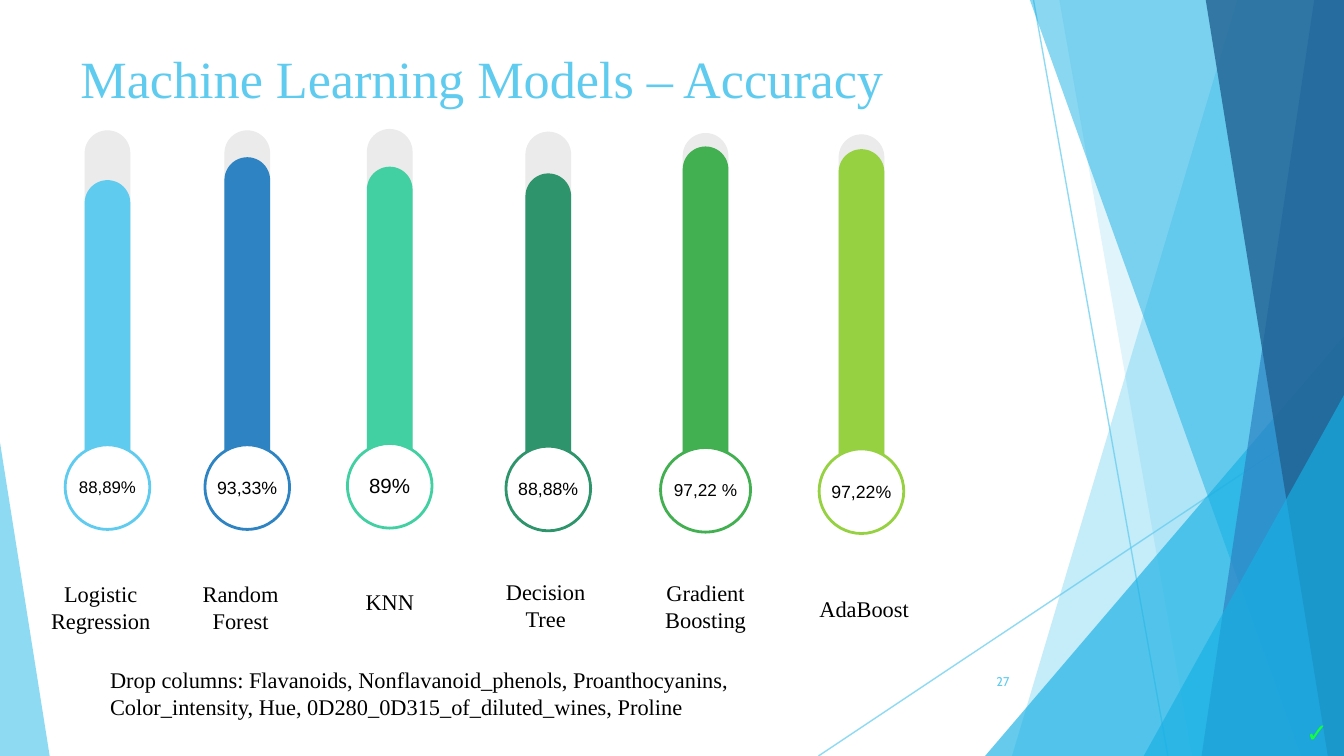
from pptx import Presentation
from pptx.dml.color import RGBColor
from pptx.enum import shapes as sh, text as tx
from pptx.oxml.ns import qn
from pptx.util import Inches, Pt
from lxml import etree

THEME = dict(
    sky="5FCBEF", cyan="17B0E4", blue="2E83C3", navy="226292", track="EBEBEB",
    white="FFFFFF", ink="000000", tick="13FF3A",
    serif="Times New Roman", sans="Arial", small="Cabin",
    title=28, body=12, mark=14, page=6.8,
)

WIDE = 10
HIGH = WIDE * 9 / 16

TITLE = "Machine Learning Models – Accuracy"
NOTE = ("Drop columns: Flavanoids, Nonflavanoid_phenols, Proanthocyanins, "
        "Color_intensity, Hue, 0D280_0D315_of_diluted_wines, Proline")

MODELS = [
    dict(name="Logistic Regression", score="88,89%", size=9, color="5FCBEF",
         mid=0.8, spot=(0.75, 4.52), top=0.97, level=1.34),
    dict(name="Random Forest", score="93,33%", size=9.5, color="2E83C3",
         mid=1.84, spot=(1.79, 4.52), top=0.97, level=1.17),
    dict(name="KNN", score="89%", size=11, color="42D0A2",
         mid=2.9, spot=(2.9, 4.48), top=0.96, level=1.24),
    dict(name="Decision Tree", score="88,88%", size=9.5, color="2E946B",
         mid=4.08, spot=(4.06, 4.5), top=0.98, level=1.29),
    dict(name="Gradient Boosting", score="97,22 %", size=9.2, color="42B051",
         mid=5.25, spot=(5.25, 4.51), top=0.99, level=1.09, wide=0.67),
    dict(name="AdaBoost", score="97,22%", size=9.5, color="96D141",
         mid=6.41, spot=(6.43, 4.53), top=1.0, level=1.11),
]
TUBE_W, TUBE_H, RING_H, RING_DROP = 0.34, 2.76, 0.63, 2.34
LABEL_W, LABEL_H = 1.05, 0.74

RAYS = [((7.69, 0), (8.69, HIGH)), ((WIDE, 3.02), (6.09, HIGH))]
BANDS = [
    ("band", (9.21, 7.53), "sky", 36),
    ("band", (7.88, 8.87), "sky", 20),
    ("wedge", (7.33, 2.5, 2.67, 1), "cyan", 66),
    ("band", (7.66, 9.68), "cyan", 50),
    ("band", (9.78, 8.94), "blue", 70),
    ("band", (8.97, 9.88), "navy", 80),
    ("wedge", (8.51, 2.94, 1.49, 1), "cyan", 66),
    ("wedge", (0, 3.29, 0.37, 0), "sky", 70),
]


def fade(node, share):
    tint = next(node.iter(qn("a:srgbClr")))
    etree.SubElement(tint, qn("a:alpha")).set("val", str(share * 1000))


def paint(shape, color, share=100):
    shape.shadow.inherit = False
    shape.fill.solid()
    shape.fill.fore_color.rgb = RGBColor.from_string(color)
    shape.line.fill.background()
    if share < 100:
        fade(shape._element.spPr, share)
    return shape


def block(pen, kind, box, color, share=100):
    return paint(pen.add_shape(kind, *map(Inches, box)), color, share)


def write(shape, words, size, font, color, align="LEFT", anchor="MIDDLE",
          pad=(0.1, 0.1), wrap=True, bold=False):
    frame = shape.text_frame
    frame.word_wrap = wrap
    frame.vertical_anchor = getattr(tx.MSO_ANCHOR, anchor)
    frame.margin_left = frame.margin_right = Inches(pad[0])
    frame.margin_top = frame.margin_bottom = Inches(pad[1])
    para = frame.paragraphs[0]
    para.text = words
    para.alignment = getattr(tx.PP_ALIGN, align)
    para.font.size, para.font.name, para.font.bold = Pt(size), font, bold
    para.font.color.rgb = RGBColor.from_string(color)


def label(pen, box, *args, **opts):
    write(pen.add_textbox(*map(Inches, box)), *args, **opts)


def ray(pen, start, end):
    line = pen.add_connector(sh.MSO_CONNECTOR.STRAIGHT, *map(Inches, start + end))
    line.line.width = Pt(0.75)
    line.line.color.rgb = RGBColor.from_string(THEME["sky"])
    props = line._element.spPr
    fade(props, 70)
    etree.SubElement(props, qn("a:effectLst"))


def band(pen, top, foot, color, share):
    pts = [(Inches(x), Inches(y)) for x, y in
           [(top, -0.01), (WIDE, -0.01), (WIDE, HIGH), (foot, HIGH)]]
    path = pen.build_freeform(*pts[0])
    path.add_line_segments(pts[1:], close=True)
    paint(path.convert_to_shape(), color, share)


def wedge(pen, x, y, w, peak, color, share):
    shape = block(pen, sh.MSO_SHAPE.ISOSCELES_TRIANGLE, (x, y, w, HIGH - y),
                  color, share)
    shape.adjustments[0] = peak


def gauge(pen, name, score, size, color, mid, spot, top, level, wide=RING_H):
    left, base = mid - TUBE_W / 2, top + TUBE_H
    for start, tint in [(top, THEME["track"]), (level, color)]:
        tube = block(pen, sh.MSO_SHAPE.ROUNDED_RECTANGLE,
                     (left, start, TUBE_W, base - start), tint)
        tube.adjustments[0] = 0.5
    ring = block(pen, sh.MSO_SHAPE.OVAL,
                 (mid - wide / 2, top + RING_DROP, wide, RING_H), THEME["white"])
    ring.line.color.rgb = RGBColor.from_string(color)
    ring.line.width = Pt(1.5)
    write(ring, score, size, THEME["sans"], THEME["ink"], "CENTER",
          pad=(0, 0.1), wrap=False)
    x, y = spot
    label(pen, (x - LABEL_W / 2, y - LABEL_H / 2, LABEL_W, LABEL_H), name,
          THEME["body"], THEME["serif"], THEME["ink"], "CENTER")


def main():
    deck = Presentation()
    deck.slide_width, deck.slide_height = Inches(WIDE), Inches(HIGH)
    page = deck.slides.add_slide(deck.slide_layouts[6]).shapes

    decor = page.add_group_shape().shapes
    for start, end in RAYS:
        ray(decor, start, end)
    draw = {"band": band, "wedge": wedge}
    for kind, spots, tint, share in BANDS:
        draw[kind](decor, *spots, THEME[tint], share)

    label(page, (7.05, 4.96, 0.56, 0.3), "27", THEME["page"], THEME["small"],
          THEME["sky"], "RIGHT", "TOP")
    for model in MODELS:
        gauge(page.add_group_shape().shapes, **model)
    label(page, (9.62, 5.28, 0.38, 0.34), "✓", THEME["mark"], THEME["small"],
          THEME["tick"], anchor="TOP", pad=(0.1, 0.05), bold=True)
    label(page, (0.5, 0.12, 6.54, 0.91), TITLE, THEME["title"], THEME["serif"],
          THEME["sky"])
    label(page, (0.72, 4.91, 5.71, 0.74), NOTE, THEME["body"], THEME["serif"],
          THEME["ink"], anchor="TOP", pad=(0.1, 0.05))
    deck.save("out.pptx")


if __name__ == "__main__":
    main()
